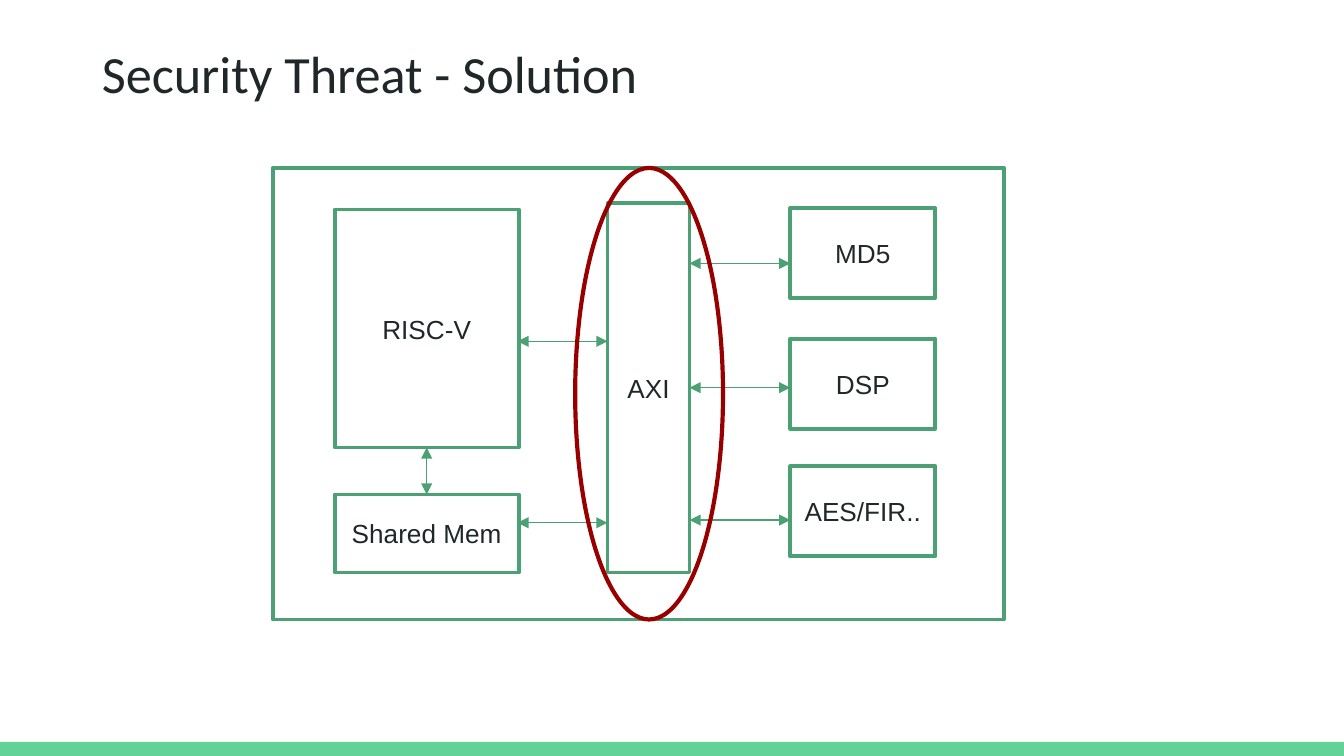
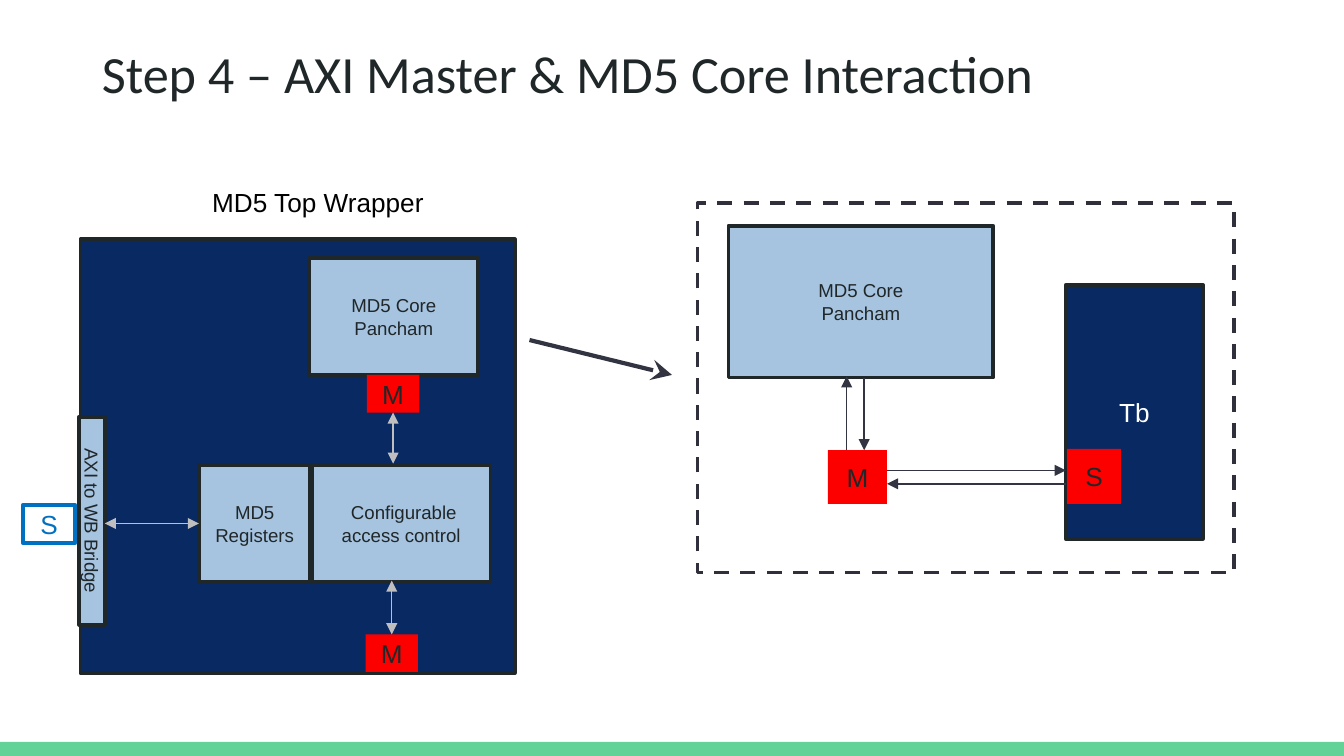
import dataclasses

import lxml.etree
import pptx
import pptx.dml.color
import pptx.enum.dml
import pptx.enum.shapes
import pptx.enum.text
import pptx.oxml.ns
import pptx.util

Inches = pptx.util.Inches
SHAPES = pptx.enum.shapes.MSO_SHAPE
TOP, LEFT, BOTTOM, RIGHT = range(4)


@dataclasses.dataclass(frozen=True)
class Theme:
    white: str = "FFFFFF"
    black: str = "000000"
    ink: str = "202729"
    band: str = "63D297"
    green: str = "4BA173"
    dark_red: str = "980000"
    navy: str = "092963"
    pale_blue: str = "A6C4E0"
    blue: str = "0070C0"
    red: str = "FC0000"
    grey: str = "BFBFBF"
    slate: str = "323442"
    dash: str = "2F303C"
    title_font: str = "Calibri"
    body_font: str = "Arial"
    title_size: float = 28
    label_size: float = 14
    small_size: float = 10
    outline: float = 2
    heavy: float = 2.25
    thin: float = 0.75


THEME = Theme()


def rgb(value):
    return pptx.dml.color.RGBColor.from_string(value)


# Text
def write(shape, text, size, color, font=THEME.body_font, align=None, inset_y=0.05):
    frame = shape.text_frame
    frame.word_wrap = True
    frame.margin_left = frame.margin_right = Inches(0.1)
    frame.margin_top = frame.margin_bottom = Inches(inset_y)
    frame.text = text
    for paragraph in frame.paragraphs:
        paragraph.alignment = align
        paragraph.font.name = font
        paragraph.font.size = pptx.util.Pt(size)
        paragraph.font.color.rgb = rgb(color)


def add_label(shapes, at, text, size, color, **style):
    label = shapes.add_textbox(*map(Inches, at))
    write(label, text, size, color, **style)
    return label


# Boxes
def add_box(shapes, at, text="", fill=None, line=None, width=THEME.outline,
            size=THEME.label_size, color=THEME.ink, kind=SHAPES.RECTANGLE):
    box = shapes.add_shape(kind, *map(Inches, at))
    box.shadow.inherit = False
    if fill:
        box.fill.solid()
        box.fill.fore_color.rgb = rgb(fill)
    else:
        box.fill.background()
    if line:
        box.line.color.rgb = rgb(line)
        box.line.width = pptx.util.Pt(width)
    else:
        box.line.fill.background()
    if text:
        write(box, text, size, color, align=pptx.enum.text.PP_ALIGN.CENTER)
        box.text_frame.vertical_anchor = pptx.enum.text.MSO_ANCHOR.MIDDLE
    return box


def add_green_box(shapes, at, text=""):
    return add_box(shapes, at, text, THEME.white, THEME.green)


def add_block(shapes, at, text):
    return add_box(shapes, at, text, THEME.pale_blue, THEME.ink, size=THEME.small_size)


def add_port(shapes, at, text):
    return add_box(shapes, at, text, THEME.red)


# Arrows; start_on and end_on are (box, side) pairs
def add_arrow(shapes, start, end, color, head="triangle", tail="triangle",
              width=THEME.thin, head_size="med", start_on=None, end_on=None):
    arrow = shapes.add_connector(pptx.enum.shapes.MSO_CONNECTOR.STRAIGHT,
                                 *map(Inches, (*start, *end)))
    if start_on:
        arrow.begin_connect(*start_on)
    if end_on:
        arrow.end_connect(*end_on)
    # Keep the free end level with the joined one
    if start_on and not end_on:
        if start[0] == end[0]:
            arrow.end_x = arrow.begin_x
        else:
            arrow.end_y = arrow.begin_y
    elif end_on and not start_on:
        if start[0] == end[0]:
            arrow.begin_x = arrow.end_x
        else:
            arrow.begin_y = arrow.end_y
    arrow.line.color.rgb = rgb(color)
    arrow.line.width = pptx.util.Pt(width)
    qn = pptx.oxml.ns.qn
    properties = arrow._element.spPr
    outline = properties.find(qn("a:ln"))
    for tag, kind in (("a:headEnd", head), ("a:tailEnd", tail)):
        if kind:
            lxml.etree.SubElement(outline, qn(tag), type=kind, w=head_size, len=head_size)
    lxml.etree.SubElement(properties, qn("a:effectLst"))


# Slide frame: bottom band and title
def add_slide(prs, title, title_width):
    shapes = prs.slides.add_slide(prs.slide_layouts[6]).shapes
    add_box(shapes, (0, 5.52, 10, 0.11), fill=THEME.band)
    heading = add_label(shapes, (0.6, 0.21, title_width, 0.63), title, THEME.title_size,
                        THEME.ink, font=THEME.title_font, inset_y=0.1)
    indent = heading.text_frame.paragraphs[0]._p.get_or_add_pPr()
    indent.set("marL", str(Inches(0.06)))
    return shapes


def build_solution(prs):
    shapes = add_slide(prs, "Security Threat - Solution", 5.77)
    system = shapes.add_group_shape().shapes

    # System blocks
    add_green_box(system, (2.03, 1.25, 5.44, 3.36))
    cpu = add_green_box(system, (2.49, 1.56, 1.37, 1.77), "RISC-V")
    memory = add_green_box(system, (2.49, 3.68, 1.37, 0.58), "Shared Mem")
    bus = add_green_box(system, (4.52, 1.51, 0.61, 2.75), "AXI")
    for name, top in (("MD5", 1.55), ("DSP", 2.52), ("AES/FIR..", 3.47)):
        add_green_box(system, (5.88, top, 1.08, 0.67), name)

    # Links between the blocks
    add_arrow(system, (3.17, 3.33), (3.17, 3.68), THEME.green,
              start_on=(cpu, BOTTOM), end_on=(memory, TOP))
    for y, joint in ((1.96, None), (2.88, (bus, RIGHT)), (3.87, None)):
        add_arrow(system, (5.13, y), (5.88, y), THEME.green, start_on=joint)
    for y in (2.54, 3.89):
        add_arrow(system, (3.85, y), (4.52, y), THEME.green)

    # Highlight around the bus
    add_box(shapes, (4.28, 1.25, 1.1, 3.36), line=THEME.dark_red, width=THEME.heavy,
            kind=SHAPES.OVAL)


def build_wrapper(shapes):
    add_box(shapes, (0.6, 1.78, 3.23, 3.23), fill=THEME.navy, line=THEME.ink)
    bridge = add_block(shapes, (-0.09, 3.78, 1.55, 0.19), "AXI to WB Bridge")
    bridge.rotation = 90
    add_block(shapes, (2.3, 1.92, 1.26, 0.87), "MD5 Core\nPancham")
    add_box(shapes, (0.17, 3.76, 0.39, 0.28), "S", THEME.white, THEME.blue,
            THEME.heavy, color=THEME.blue)
    add_label(shapes, (1.48, 1.34, 1.97, 0.34), "MD5 Top Wrapper",
              THEME.label_size, THEME.black)
    registers = add_block(shapes, (1.48, 3.46, 0.83, 0.87), "MD5 Registers")
    add_block(shapes, (2.32, 3.46, 1.33, 0.87), " Configurable access control")
    core_master = add_port(shapes, (2.73, 2.79, 0.39, 0.28), "M")
    outer_master = add_port(shapes, (2.72, 4.72, 0.39, 0.28), "M")

    add_arrow(shapes, (0.78, 3.91), (1.48, 3.91), THEME.grey, end_on=(registers, LEFT))
    add_arrow(shapes, (2.93, 3.07), (2.93, 3.45), THEME.grey,
              start_on=(core_master, BOTTOM))
    add_arrow(shapes, (2.92, 4.32), (2.92, 4.7), THEME.grey,
              end_on=(outer_master, TOP))


def build_test_setup(shapes):
    add_block(shapes, (5.42, 1.68, 1.97, 1.13), "MD5 Core\nPancham")
    add_port(shapes, (6.16, 3.35, 0.44, 0.4), "M")
    add_box(shapes, (7.93, 2.12, 1.02, 1.89), "Tb", THEME.navy, THEME.ink,
            color=THEME.white)

    # Request and response pairs
    both_ways = (("triangle", None), (None, "triangle"))
    for x, top, (head, tail) in zip((6.3, 6.43), (2.8, 2.81), reversed(both_ways)):
        add_arrow(shapes, (x, 3.35), (x, top), THEME.slate, head, tail)
    add_port(shapes, (7.94, 3.34, 0.4, 0.41), "S")
    for y, (head, tail) in zip((3.5, 3.6), reversed(both_ways)):
        add_arrow(shapes, (6.6, y), (7.93, y), THEME.slate, head, tail)

    boundary = add_box(shapes, (5.19, 1.51, 3.99, 2.75), line=THEME.dash)
    boundary.line.dash_style = pptx.enum.dml.MSO_LINE.DASH


def build_interaction(prs):
    shapes = add_slide(prs, "Step 4 – AXI Master & MD5 Core Interaction", 7.97)
    build_wrapper(shapes)
    build_test_setup(shapes)
    add_arrow(shapes, (3.94, 2.53), (5, 2.79), THEME.slate, head=None,
              tail="stealth", width=THEME.heavy, head_size="lg")


def main():
    prs = pptx.Presentation()
    prs.slide_width = Inches(10)
    prs.slide_height = prs.slide_width * 9 // 16
    build_solution(prs)
    build_interaction(prs)
    prs.save("out.pptx")


if __name__ == "__main__":
    main()
